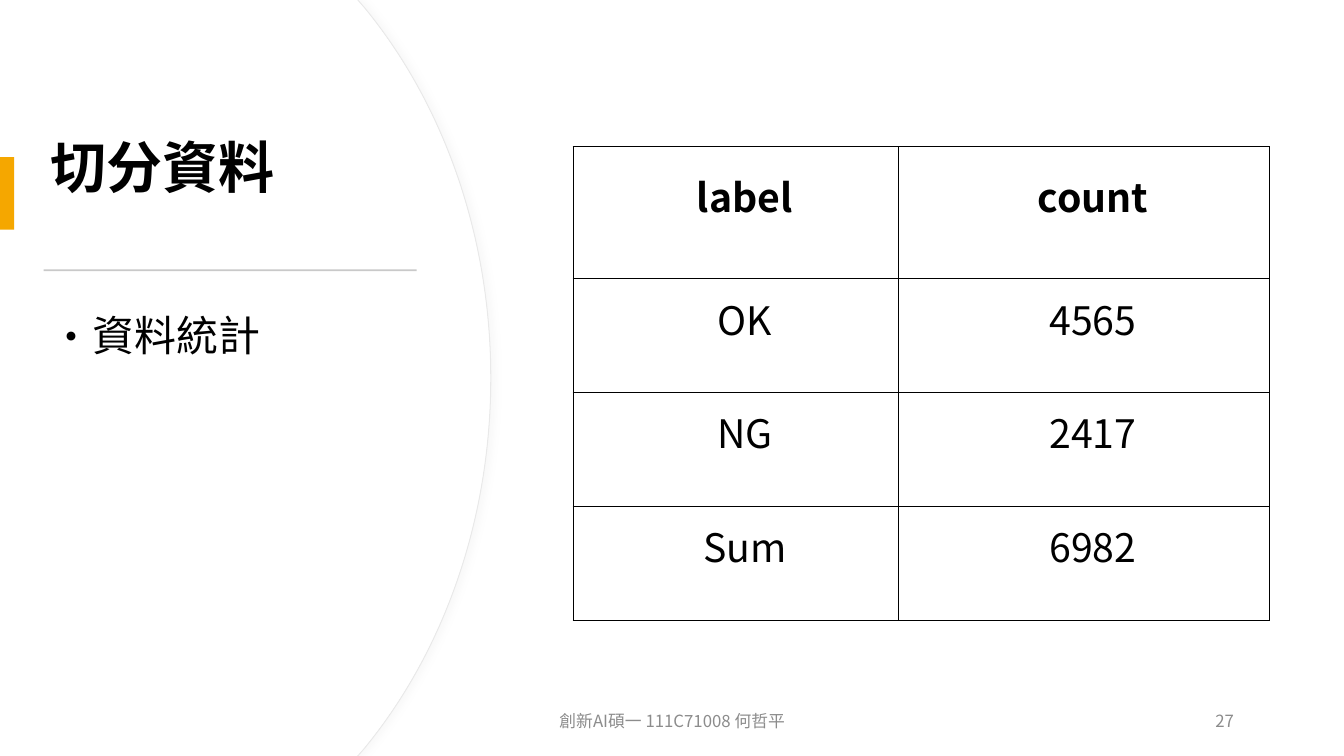
import dataclasses

import lxml.etree
import pptx
import pptx.dml.color
import pptx.enum.shapes
import pptx.enum.text
import pptx.oxml
import pptx.oxml.ns
import pptx.util

Pt = pptx.util.Pt
ALIGN = pptx.enum.text.PP_ALIGN
ANCHOR = pptx.enum.text.MSO_ANCHOR
qn = pptx.oxml.ns.qn
NS = 'xmlns:a="http://schemas.openxmlformats.org/drawingml/2006/main"'


@dataclasses.dataclass(frozen=True)
class Theme:
    font: str = "Noto Sans CJK SC"
    ink: str = "000000"
    paper: str = "FFFFFF"
    accent: str = "F5A700"
    rule: str = "C9C9C9"
    edge: str = "E9E9E9"
    shade: str = "D9D9D9"
    muted: str = "8C8C8C"
    title: int = 40
    body: int = 30
    cell: int = 28
    footer: int = 12


def rgb(value):
    return pptx.dml.color.RGBColor.from_string(value)


def write_text(tf, text, *, font, size, color, bold=False, align=ALIGN.LEFT,
               spacing=None, after=None, bullet=None):
    """Write one formatted paragraph and return it."""
    p = tf.paragraphs[0]
    p.alignment = align
    if spacing:
        p.line_spacing = spacing
    if after:
        p.space_after = Pt(after)
    if bullet:
        pPr = p._p.get_or_add_pPr()
        pPr.set("marL", "0")
        pPr.set("indent", str(Pt(-18)))
        pPr.append(pptx.oxml.parse_xml(f'<a:buFont {NS} typeface="{font}"/>'))
        pPr.append(pptx.oxml.parse_xml(f'<a:buChar {NS} char="{bullet}"/>'))
    r = p.add_run()
    r.text = text
    r.font.name = font
    r.font.size = Pt(size)
    r.font.bold = bold
    r.font.color.rgb = rgb(color)
    lxml.etree.SubElement(r._r.get_or_add_rPr(), qn("a:ea")).set("typeface", font)
    return p


class SlideBuilder:
    def __init__(self, slide, theme):
        self.s = slide
        self.theme = theme

    def text(self, box, text, *, size, color, anchor=ANCHOR.TOP, **fmt):
        tf = self.s.shapes.add_textbox(*map(Pt, box)).text_frame
        tf.word_wrap = True
        tf.vertical_anchor = anchor
        write_text(tf, text, font=self.theme.font, size=size, color=color, **fmt)

    def paint(self, sp, fill, line=None):
        sp.shadow.inherit = False
        sp.fill.solid()
        sp.fill.fore_color.rgb = rgb(fill)
        if line:
            sp.line.color.rgb = rgb(line)
            sp.line.width = Pt(0.75)
        else:
            sp.line.fill.background()

    def rect(self, box, color):
        self.paint(self.s.shapes.add_shape(
            pptx.enum.shapes.MSO_SHAPE.RECTANGLE, *map(Pt, box)), color)

    def outline(self, points, curves, fill, line=None, shade=None):
        """Closed outline; each index in curves starts a cubic's three points."""
        start, *rest = [(Pt(x), Pt(y)) for x, y in points]
        fb = self.s.shapes.build_freeform(*start)
        fb.add_line_segments(rest, close=True)
        sp = fb.convert_to_shape()
        self.paint(sp, fill, line)
        lines = list(sp._element.iter(qn("a:lnTo")))
        for i in curves:
            cubic = pptx.oxml.parse_xml(f'<a:cubicBezTo {NS}/>')
            lines[i - 1].addprevious(cubic)
            for ln in lines[i - 1:i + 2]:
                cubic.append(ln[0])
                ln.getparent().remove(ln)
        if shade:
            effects = sp._element.spPr.find(qn("a:effectLst"))
            effects.append(pptx.oxml.parse_xml(
                f'<a:outerShdw {NS} blurRad="{Pt(4)}" dist="{Pt(3)}" dir="0">'
                f'<a:srgbClr val="{shade}"><a:alpha val="15000"/></a:srgbClr>'
                '</a:outerShdw>'))

    def table(self, left, top, widths, heights, rows):
        frame = self.s.shapes.add_table(
            len(rows), len(widths), Pt(left), Pt(top),
            Pt(sum(widths)), Pt(sum(heights)))
        tbl = frame.table
        tbl.first_row = tbl.horz_banding = False
        for column, width in zip(tbl.columns, widths):
            column.width = Pt(width)
        for i, (row, height) in enumerate(zip(rows, heights)):
            tbl.rows[i].height = Pt(height)
            for j, text in enumerate(row):
                self.cell(tbl.cell(i, j), text, bold=i == 0)

    def cell(self, cell, text, bold):
        th = self.theme
        cell.margin_left, cell.margin_top = Pt(13.7), Pt(4.3)
        cell.margin_right, cell.margin_bottom = Pt(1.4), Pt(29.5)
        cell.vertical_anchor = ANCHOR.MIDDLE
        tcPr = cell._tc.get_or_add_tcPr()
        for side in ("lnL", "lnR", "lnT", "lnB"):
            tcPr.append(pptx.oxml.parse_xml(
                f'<a:{side} {NS} w="{Pt(1)}"><a:solidFill>'
                f'<a:srgbClr val="{th.ink}"/></a:solidFill></a:{side}>'))
        cell.fill.background()
        write_text(cell.text_frame, text, font=th.font, size=th.cell,
                   color=th.ink, bold=bold, align=ALIGN.CENTER)


def main():
    prs = pptx.Presentation()
    prs.slide_width, prs.slide_height = Pt(960), Pt(540)
    th = Theme()
    s = SlideBuilder(prs.slides.add_slide(prs.slide_layouts[6]), th)

    # Backdrop
    s.rect((0, 0, 960, 540), th.paper)

    # Curved left panel: shaded edge below, plain face on top
    upper = [(255.6, 0), (260.6, 5.8), (316.1, 73.4), (350.6, 167)]
    lower = [(x, 540 - y) for x, y in reversed(upper)]
    arc = [*upper, (350.6, 270), *lower]
    for shift, style in ((0, {"line": th.edge, "shade": th.shade}), (0.72, {})):
        s.outline([(0, 0), *((x - shift, y) for x, y in arc), (0, 540)],
                  (3, 6), th.paper, **style)

    # Heading with accent bar and rule
    s.text((29.2, 54.7, 359.3, 133.9), "切分資料", size=th.title, color=th.ink,
           bold=True, anchor=ANCHOR.MIDDLE, spacing=0.9)
    s.rect((0, 112.2, 10.1, 51.8), th.accent)
    s.rect((31.2, 192.4, 266.4, 1.4), th.rule)

    # Body
    s.text((29.2, 213.8, 270.7, 252.7), "資料統計", size=th.body, color=th.ink,
           spacing=1.1, after=6, bullet="•")

    # Label counts
    s.table(409.5, 104.8, [232.6, 264.9], [94.3] + [81.3] * 3,
            [("label", "count"), ("OK", "4565"), ("NG", "2417"), ("Sum", "6982")])

    # Footer
    for left, width, text, align in (
            (672.5, 216, "27", ALIGN.RIGHT),
            (318.2, 324, "創新AI碩一 111C71008 何哲平", ALIGN.CENTER)):
        s.text((left, 500.4, width, 28.8), text, size=th.footer, color=th.muted,
               anchor=ANCHOR.MIDDLE, align=align)

    prs.save("out.pptx")


if __name__ == "__main__":
    main()
